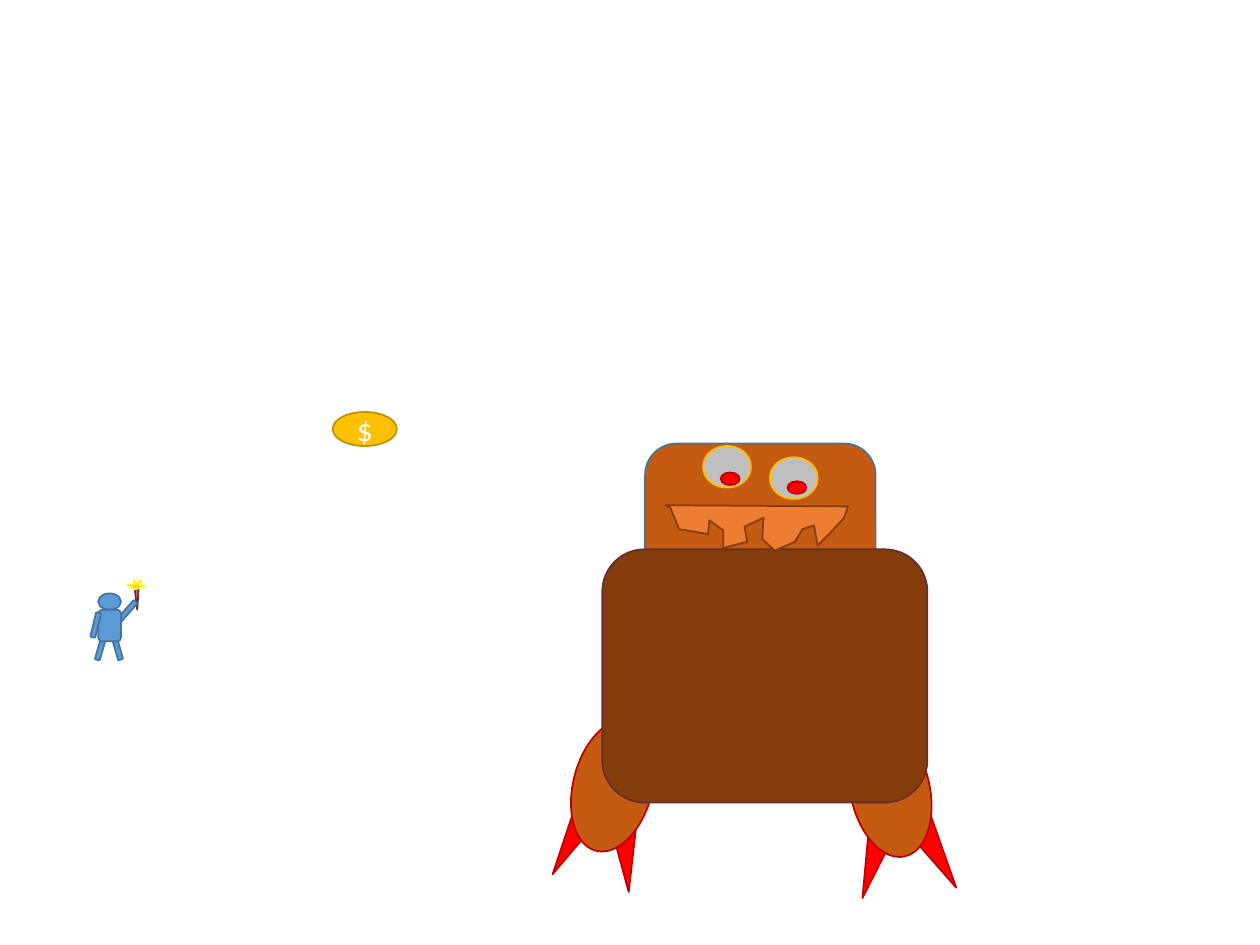
from copy import deepcopy

from pptx import Presentation
from pptx import util as u
from pptx.dml.color import RGBColor
from pptx.enum import shapes, text
from pptx.oxml.ns import qn

COLUMNS = 1000
KIND = shapes.MSO_SHAPE
RUST, BROWN, RED, DARK_RED = "C55A11", "843C0B", "FF0000", "C00000"
GOLD, BLUE, NAVY, MAROON = "FFC000", "5B9BD5", "43739E", "692D2D"

deck = Presentation()
deck.slide_width, deck.slide_height = u.Inches(10), u.Inches(7.5)
CELL = deck.slide_width // COLUMNS


def colour(value):
    return RGBColor.from_string(value)


def paint(shape, fill, line):
    shape.shadow.inherit = False
    shape.fill.solid()
    shape.fill.fore_color.rgb = colour(fill)
    shape.line.color.rgb = colour(line)
    shape.line.width = u.Pt(1)
    return shape


def add_part(parent, box, kind, place, fill, line, turn=0):
    left, top, width, height = place
    shape = parent.shapes.add_shape(
        kind, (box[0] + left) * CELL, (box[1] + top) * CELL, width * CELL, height * CELL)
    shape.rotation = turn
    return paint(shape, fill, line)


def add_outline(parent, box, points, fill, line):
    builder = parent.shapes.build_freeform(*points[0], scale=CELL)
    builder.add_line_segments(points[1:], close=True)
    return paint(builder.convert_to_shape(box[0] * CELL, box[1] * CELL), fill, line)


def fill_flame(shape, hues):
    shape.fill.gradient()
    shape.fill.gradient_angle = 270
    stops = shape._element.spPr.find(qn("a:gradFill")).find(qn("a:gsLst"))
    stops.insert(1, deepcopy(stops[0]))
    for index, (stop, hue) in enumerate(zip(shape.fill.gradient_stops, hues)):
        stop.position = index / 2
        stop.color.rgb = colour(hue)


def draw_monster(page, box):
    monster = page.shapes.add_group_shape()
    for left, top, turn in [(2, 283, 209.4), (44, 293, 175.6), (290, 294, 149.7), (241, 299, 196.1)]:
        add_part(monster, box, KIND.ISOSCELES_TRIANGLE, (left, top, 25, 65), RED, DARK_RED, turn)
    add_part(monster, box, KIND.ROUNDED_RECTANGLE, (72, 2, 183, 150), RUST, NAVY)
    for left, top, turn in [(15, 220, 14.7), (235, 224, 347.4)]:
        add_part(monster, box, KIND.OVAL, (left, top, 63, 107), RUST, DARK_RED, turn)
    add_part(monster, box, KIND.ROUNDED_RECTANGLE, (38, 86, 258, 201), BROWN, MAROON)
    mouth = [(92, 53), (99, 70), (122, 74), (123, 63), (134, 71), (134, 85), (153, 80),
             (151, 68), (166, 61), (165, 78), (175, 87), (191, 80), (197, 70), (206, 67),
             (209, 83), (217, 75), (230, 61), (233, 52), (88, 51)]
    add_outline(monster, box, mouth, "ED7D31", BROWN)
    for left, top, pupil_top in [(118, 4, 25), (171, 13, 32)]:
        add_part(monster, box, KIND.OVAL, (left, top, 38, 33), "BFBFBF", GOLD)
        add_part(monster, box, KIND.OVAL, (left + 14, pupil_top, 15, 10), RED, DARK_RED)


def draw_hero(page, box):
    hero = page.shapes.add_group_shape()
    add_outline(hero, box, [(47, 8), (49, 24), (50, 8)], "C16F6F", MAROON)
    add_part(hero, box, KIND.ROUNDED_RECTANGLE, (31, 23, 20, 4), BLUE, NAVY, 311.2)
    add_part(hero, box, KIND.OVAL, (18, 11, 18, 13), BLUE, NAVY)
    for left, turn in [(10, 286), (23, 74)]:
        add_part(hero, box, KIND.ROUNDED_RECTANGLE, (left, 52, 20, 4), BLUE, NAVY, turn)
    add_part(hero, box, KIND.ROUNDED_RECTANGLE, (18, 24, 18, 25), BLUE, NAVY)
    add_part(hero, box, KIND.ROUNDED_RECTANGLE, (6, 34, 20, 4), BLUE, NAVY, 283.7)
    flame = [(46, 8), (45, 6), (43, 5), (41, 4), (47, 4), (46, 0), (49, 4),
             (52, 0), (51, 5), (55, 5), (50, 7)]
    fill_flame(add_outline(hero, box, flame, RED, "FFFF00"), [RED, "F4B183", "FFD966"])


def draw_coin(page, box):
    coin = add_part(page, box, KIND.OVAL, (0, 0, 51, 27), GOLD, "BF9000")
    coin.text_frame.vertical_anchor = text.MSO_ANCHOR.MIDDLE
    para = coin.text_frame.paragraphs[0]
    para.text = "$"
    para.alignment = text.PP_ALIGN.CENTER
    para.font.name, para.font.size = "Calibri", u.Pt(18)
    para.font.color.rgb = colour("FFFFFF")


page = deck.slides.add_slide(deck.slide_layouts[6])
draw_monster(page, (440, 350))
draw_hero(page, (60, 460))
draw_coin(page, (264, 327))
deck.save("out.pptx")
